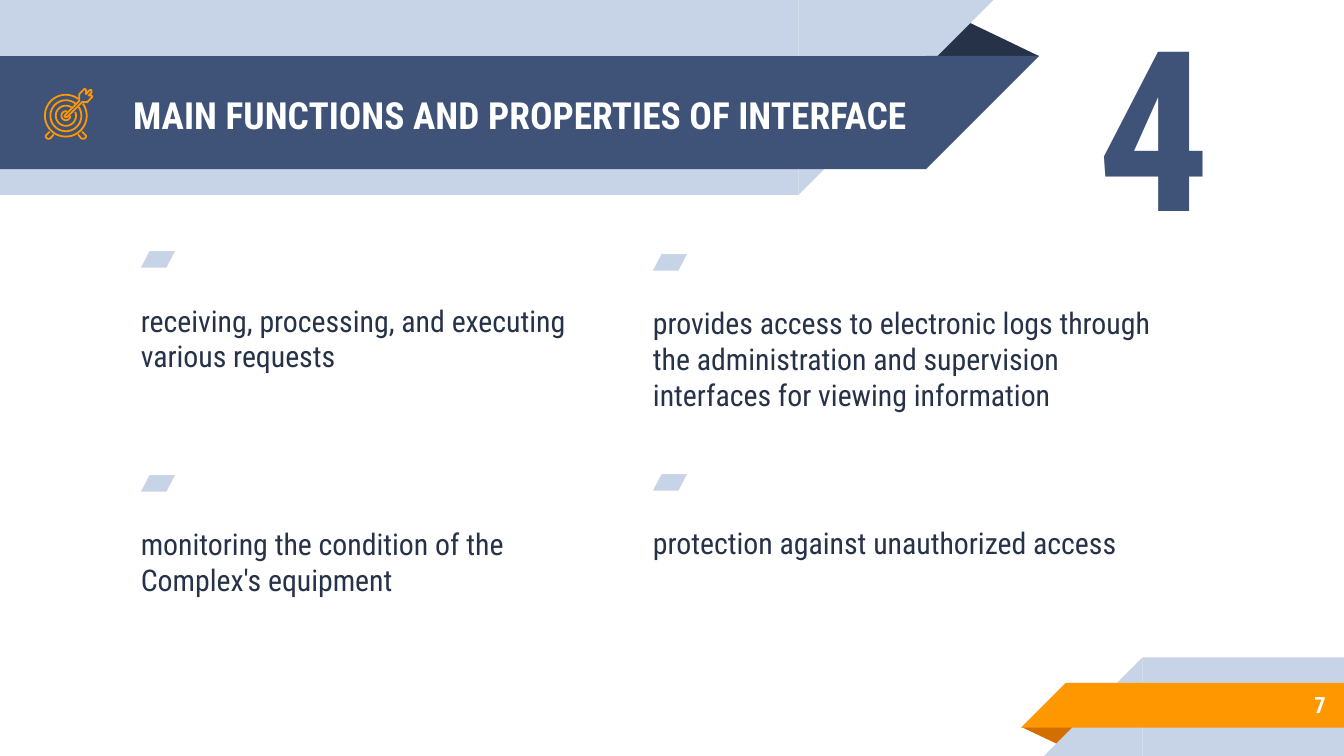
from math import cos, radians, sin

from lxml.etree import SubElement
from pptx import Presentation
from pptx.dml.color import RGBColor
from pptx.enum.shapes import MSO_SHAPE
from pptx.enum.text import MSO_ANCHOR, PP_ALIGN
from pptx.oxml.ns import qn
from pptx.util import Pt

FONT = "Roboto Condensed"
COLORS = {
    "navy": "3F5378",
    "dark": "263248",
    "pale": "C7D3E6",
    "orange": "FF9800",
    "rust": "D26F00",
    "white": "FFFFFF",
}


def color(name):
    return RGBColor.from_string(COLORS[name])


def place(shape, left, top, width, height):
    shape.left, shape.top = Pt(left), Pt(top)
    shape.width, shape.height = Pt(width), Pt(height)


def add_block(page, kind, bounds, fill, rotation=0, flip=False, apex=None):
    block = page.shapes.add_shape(kind, *map(Pt, bounds))
    block.shadow.inherit = False
    block.fill.solid()
    block.fill.fore_color.rgb = color(fill)
    block.line.fill.background()
    block.rotation = rotation
    if flip:
        block.element.spPr.find(qn("a:xfrm")).set("flipH", "1")
    if apex is not None:
        block.adjustments[0] = apex


def add_ribbon(page, rectangle_bounds, triangle_left, fill, rotation=0):
    left, top, width, height = rectangle_bounds
    add_block(page, MSO_SHAPE.RECTANGLE, rectangle_bounds, fill, rotation, True)
    add_block(page, MSO_SHAPE.RIGHT_TRIANGLE, (triangle_left, top, height, height),
              fill, rotation, True)


def write_text(para, text, size=16, fill="dark", bold=False, align=PP_ALIGN.LEFT,
               before=0, after=0):
    para.alignment = align
    para.space_before, para.space_after = Pt(before), Pt(after)
    span = para.add_run()
    span.text = text
    span.font.name = FONT
    span.font.size = Pt(size)
    span.font.bold = bold
    span.font.color.rgb = color(fill)


def set_bullet(para, character, fill, indent):
    properties = para._p.get_or_add_pPr()
    properties.set("marL", str(Pt(indent)))
    properties.set("indent", str(-Pt(indent)))
    bullet_color = SubElement(properties, qn("a:buClr"))
    SubElement(bullet_color, qn("a:srgbClr")).set("val", COLORS[fill])
    SubElement(properties, qn("a:buFont")).set("typeface", FONT)
    SubElement(properties, qn("a:buChar")).set("char", character)


def prepare_frame(box, anchor):
    frame = box.text_frame
    frame.word_wrap = True
    frame.vertical_anchor = anchor
    frame.margin_left = frame.margin_right = Pt(7.2)
    frame.margin_top = frame.margin_bottom = Pt(7.2)
    return frame


def add_text(page, bounds, text, anchor=MSO_ANCHOR.MIDDLE, **text_format):
    box = page.shapes.add_textbox(*map(Pt, bounds))
    frame = prepare_frame(box, anchor)
    write_text(frame.paragraphs[0], text, **text_format)


def add_function(page, left, top, width, text):
    box = page.shapes.add_textbox(Pt(left), Pt(top), Pt(width), Pt(119.5))
    frame = prepare_frame(box, MSO_ANCHOR.TOP)
    marker = frame.paragraphs[0]
    write_text(marker, " ", size=24, bold=True, before=6)
    set_bullet(marker, "▰", "pale", 22.5)
    write_text(frame.add_paragraph(), text, before=10, after=10)


def set_title(page, text):
    title = page.shapes.title
    place(title, 64.1, 31, 434.9, 60.5)
    frame = prepare_frame(title, MSO_ANCHOR.MIDDLE)
    write_text(frame.paragraphs[0], text, size=20, fill="white", bold=True)
    title.element.getparent().append(title.element)


def add_outline(page, points, close=False):
    corners = [(Pt(x), Pt(y)) for x, y in points]
    builder = page.shapes.build_freeform(*corners[0])
    builder.add_line_segments(corners[1:], close=close)
    outline = builder.convert_to_shape()
    outline.shadow.inherit = False
    outline.fill.background()
    outline.line.color.rgb = color("orange")
    outline.line.width = Pt(0.96)


def add_target(page):
    center_x, center_y = 35.3, 62
    rings = [(11.2, -35, 307), (8.3, -34, 308), (5.4, -23, 304), (2.4, 0, 285)]
    for radius, start, end in rings:
        steps = 60
        angles = [radians(start + (end - start) * step / steps)
                  for step in range(steps + 1)]
        add_outline(page, [(center_x + radius * cos(angle), center_y + radius * sin(angle))
                           for angle in angles])

    foot = [(26.6, 70.6), (25.2, 72), (24.5, 72.7), (24.5, 73.4), (25.2, 74.2),
            (25.9, 74.4), (27, 74.2), (28.8, 72)]
    add_outline(page, foot)
    add_outline(page, [(2 * center_x - x, y) for x, y in foot])

    dart = [(49, 51.1), (47.5, 51.1), (49, 49.7), (49, 48.2), (48.2, 48.2),
            (46.1, 50.4), (46.1, 48.2), (45.4, 47.5), (42.5, 50.4), (42.5, 54),
            (34.6, 61.9), (34.6, 62.6), (36, 62.6), (43.9, 54.7), (46.8, 54.7),
            (49.5, 51.8)]
    add_outline(page, dart, close=True)


def main():
    deck = Presentation()
    deck.slide_width, deck.slide_height = Pt(720), Pt(405)
    page = deck.slides.add_slide(deck.slide_layouts[5])

    triangle = MSO_SHAPE.ISOSCELES_TRIANGLE
    add_block(page, triangle, (495.5, 10.1, 61.2, 20), "dark", apex=0.32)
    add_ribbon(page, (0, 0, 427.7, 104.4), 427.7, "pale", rotation=180)
    add_ribbon(page, (0, 30, 496.1, 60.6), 496.1, "navy", rotation=180)
    add_block(page, triangle, (547.2, 389.5, 31, 10), "rust", rotation=180, apex=0.32)
    add_ribbon(page, (612, 352.2, 108, 52.8), 559.2, "pale")
    add_ribbon(page, (571, 365.8, 149, 24), 547, "orange")

    set_title(page, "MAIN FUNCTIONS AND PROPERTIES OF INTERFACE")
    functions = [
        (68.4, 115.9, 270.7, "receiving, processing, and executing various requests"),
        (342.7, 117.4, 288.7, "provides access to electronic logs through the administration "
                              "and supervision interfaces for viewing information"),
        (342.7, 235, 270.7, "protection against unauthorized access"),
        (68.4, 235.6, 270.7, "monitoring the condition of the Complex's equipment"),
    ]
    for function in functions:
        add_function(page, *function)
    add_text(page, (599.8, 365, 117.4, 25.2), "7", size=12, fill="white", bold=True,
             align=PP_ALIGN.RIGHT)
    add_target(page)
    add_text(page, (581, 6.5, 113, 138.2), "4", anchor=MSO_ANCHOR.BOTTOM, size=120,
             fill="navy", bold=True)
    deck.save("out.pptx")


main()
